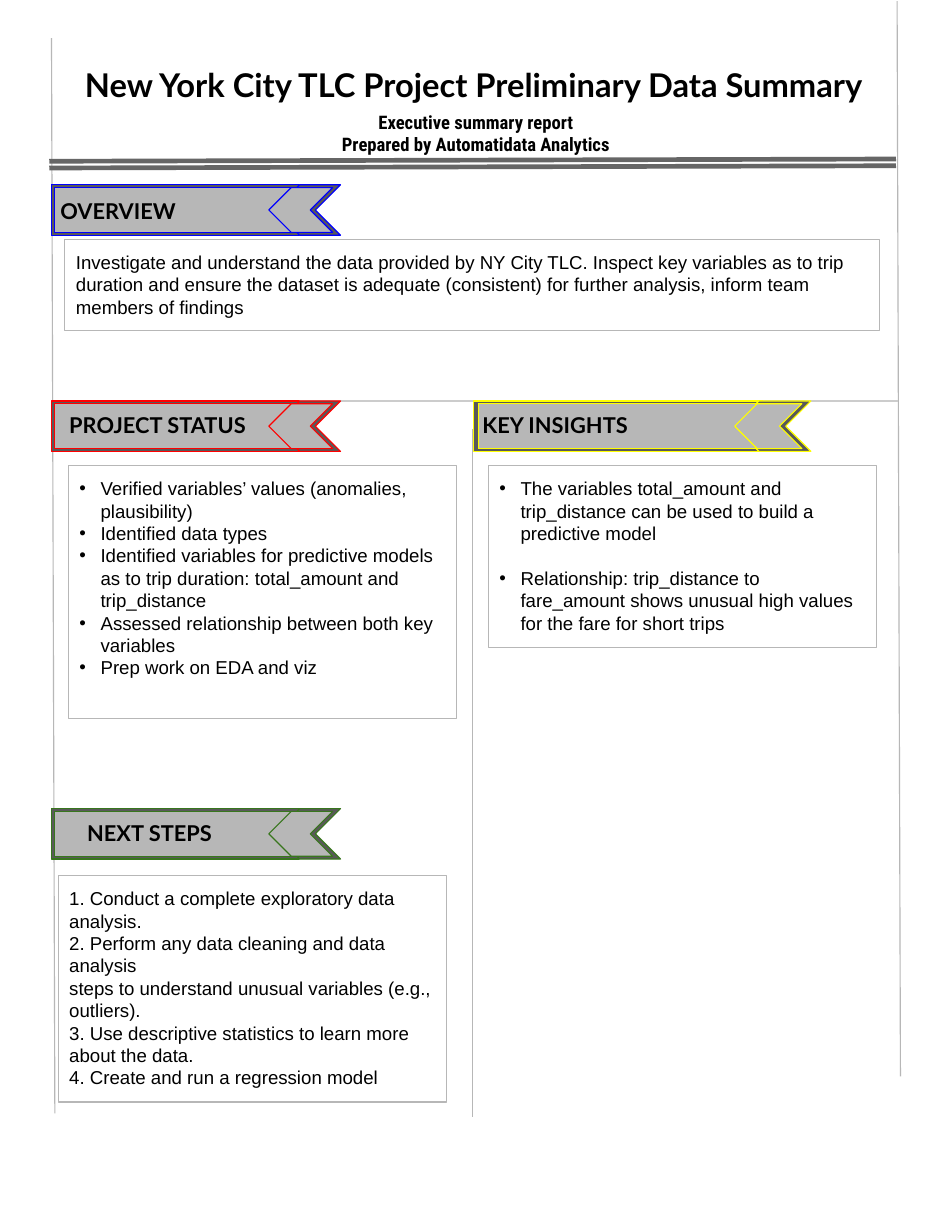
from lxml import etree
from pptx import Presentation
from pptx.dml.color import RGBColor
from pptx.enum.shapes import MSO_CONNECTOR, MSO_SHAPE
from pptx.enum.text import MSO_ANCHOR, PP_ALIGN
from pptx.oxml.ns import qn
from pptx.util import Inches, Pt

COLORS = {
    "text": "000000", "band": "595959", "face": "B7B7B7", "rule": "666666",
    "border": "B7B7B7", "divider": "CCCCCC", "blue": "0000FF",
    "red": "FF0000", "yellow": "FFFF00", "green": "38761D",
}

LINES = [
    ((0.46, 0.34), (0.49, 9.94), "border", 0.75),
    ((0.44, 1.44), (8, 1.42), "rule", 3),
    ((0.44, 1.5), (8, 1.48), "rule", 3),
    ((8.01, 0.01), (8.04, 9.61), "border", 0.75),
    ((8.02, 3.58), (0.48, 3.58), "divider", 0.75),
    ((4.22, 3.83), (4.22, 9.97), "border", 0.75),
]

NARROW = {"outer": (0, 2.21), "tail": (1.99, 0.59),
          "inner": (0.03, 2.13), "notch": (1.94, 0.57)}
WIDE = {"outer": (0, 2.58), "tail": (2.32, 0.69),
        "inner": (0.04, 2.48), "notch": (2.33, 0.6)}
PARTS = [
    ("outer", MSO_SHAPE.RECTANGLE, 0, 0.45, "band"),
    ("tail", MSO_SHAPE.CHEVRON, 0, 0.45, "band"),
    ("inner", MSO_SHAPE.RECTANGLE, 0.025, 0.4, "face"),
    ("notch", MSO_SHAPE.CHEVRON, 0.025, 0.4, "face"),
]
RIBBONS = [
    (0.46, 1.65, "blue", NARROW),
    (0.46, 3.58, "red", NARROW),
    (4.23, 3.58, "yellow", WIDE),
    (0.46, 7.22, "green", NARROW),
]

HEADING = {"name": "Lato", "size": Pt(14), "bold": True}
TITLE = {"name": "Lato", "size": Pt(21), "bold": True}
SUBTITLE = {"name": "Roboto Condensed", "size": Pt(12), "bold": True}
BODY = {"name": "Arial", "size": Pt(12), "bold": False}

HEADINGS = [
    ((0.44, 1.67, 2.13, 0.44), "OVERVIEW"),
    ((0.52, 3.58, 1.97, 0.44), "PROJECT STATUS"),
    ((0.68, 7.22, 2.13, 0.44), "NEXT STEPS"),
    ((4.21, 3.58, 1.83, 0.44), "KEY INSIGHTS"),
]
TITLE_TEXT = "New York City TLC Project Preliminary Data Summary"
SUBTITLE_LINES = ["Executive summary report", "Prepared by Automatidata Analytics"]

BOXES = [
    ((0.58, 2.14, 7.27, 0.81), False, 0, [
        "Investigate and understand the data provided by NY City TLC. Inspect key "
        "variables as to trip duration and ensure the dataset is adequate "
        "(consistent) for further analysis, inform team members of findings",
    ]),
    ((0.61, 4.16, 3.47, 2.26), True, 0, [
        "Verified variables’ values (anomalies, plausibility)",
        "Identified data types",
        "Identified variables for predictive models as to trip duration: "
        "total_amount and trip_distance",
        "Assessed relationship between both key variables",
        "Prep work on EDA and viz",
    ]),
    ((4.36, 4.16, 3.47, 1.62), True, 14.4, [
        "The variables total_amount and trip_distance can be used to build a "
        "predictive model",
        "Relationship: trip_distance to fare_amount shows unusual high values "
        "for the fare for short trips",
    ]),
    ((0.52, 7.82, 3.47, 2.02), False, 0, [
        "1. Conduct a complete exploratory data",
        "analysis.",
        "2. Perform any data cleaning and data analysis",
        "steps to understand unusual variables (e.g.,",
        "outliers).",
        "3. Use descriptive statistics to learn more",
        "about the data.",
        "4. Create and run a regression model",
    ]),
]


def rgb(key):
    return RGBColor.from_string(COLORS[key])


def inches(box):
    return [Inches(v) for v in box]


def add_line(shapes, start, end, color, width):
    sp = shapes.add_connector(MSO_CONNECTOR.STRAIGHT, *inches(start + end))
    sp.line.color.rgb = rgb(color)
    sp.line.width = Pt(width)
    etree.SubElement(sp._element.spPr, qn("a:effectLst"))


def add_outlined(shapes, kind, box, line):
    sp = shapes.add_shape(kind, *inches(box))
    sp.shadow.inherit = False
    sp.fill.background()
    sp.line.color.rgb = rgb(line)
    sp.line.width = Pt(0.75)
    return sp


def add_ribbon(shapes, left, top, line, layout):
    group = shapes.add_group_shape()
    for part, kind, dy, height, fill in PARTS:
        dx, width = layout[part]
        sp = add_outlined(group.shapes, kind, (left + dx, top + dy, width, height), line)
        sp.fill.solid()
        sp.fill.fore_color.rgb = rgb(fill)
        if kind == MSO_SHAPE.CHEVRON:
            sp.rotation = 180


def add_bullet(p):
    pPr = p._p.get_or_add_pPr()
    pPr.set("marL", str(Inches(0.19)))
    pPr.set("indent", str(-Inches(0.19)))
    color = etree.SubElement(pPr, qn("a:buClr"))
    etree.SubElement(color, qn("a:srgbClr"), val=COLORS["text"])
    etree.SubElement(pPr, qn("a:buFont"), typeface="Arial")
    etree.SubElement(pPr, qn("a:buChar"), char="•")


def write(sp, lines, font, align=PP_ALIGN.LEFT, bullets=False, gap=0):
    tf = sp.text_frame
    tf.word_wrap = True
    tf.vertical_anchor = MSO_ANCHOR.TOP
    for side in ("left", "top", "right", "bottom"):
        setattr(tf, f"margin_{side}", Inches(0.1))
    for i, line in enumerate(lines):
        p = tf.add_paragraph() if i else tf.paragraphs[0]
        p.alignment = align
        if i and gap:
            p.space_before = Pt(gap)
        if bullets:
            add_bullet(p)
        r = p.add_run()
        r.text = line
        for name, value in font.items():
            setattr(r.font, name, value)
        r.font.color.rgb = rgb("text")
    return tf


def add_text_shadow(r):
    effects = etree.Element(qn("a:effectLst"))
    shadow = etree.SubElement(effects, qn("a:outerShdw"), blurRad="57150",
                              dist="19050", dir="5400000", algn="bl", rotWithShape="0")
    color = etree.SubElement(shadow, qn("a:srgbClr"), val=COLORS["text"])
    etree.SubElement(color, qn("a:alpha"), val="50000")
    r.font.fill._xPr.find(qn("a:solidFill")).addnext(effects)


def main():
    prs = Presentation()
    prs.slide_width, prs.slide_height = Inches(8.5), Inches(11)
    s = prs.slides.add_slide(prs.slide_layouts[6])
    for line in LINES:
        add_line(s.shapes, *line)
    for ribbon in RIBBONS:
        add_ribbon(s.shapes, *ribbon)
    for box, text in HEADINGS:
        write(s.shapes.add_textbox(*inches(box)), [text], HEADING)
    title = s.shapes.add_textbox(*inches((0.15, 0.48, 8.16, 0.56)))
    tf = write(title, [TITLE_TEXT], TITLE, PP_ALIGN.CENTER)
    add_text_shadow(tf.paragraphs[0].runs[0])
    subtitle = s.shapes.add_textbox(*inches((1.93, 0.89, 4.64, 0.61)))
    write(subtitle, SUBTITLE_LINES, SUBTITLE, PP_ALIGN.CENTER)
    for box, bullets, gap, lines in BOXES:
        sp = add_outlined(s.shapes, MSO_SHAPE.RECTANGLE, box, "border")
        write(sp, lines, BODY, bullets=bullets, gap=gap)
    prs.save("out.pptx")


if __name__ == "__main__":
    main()
